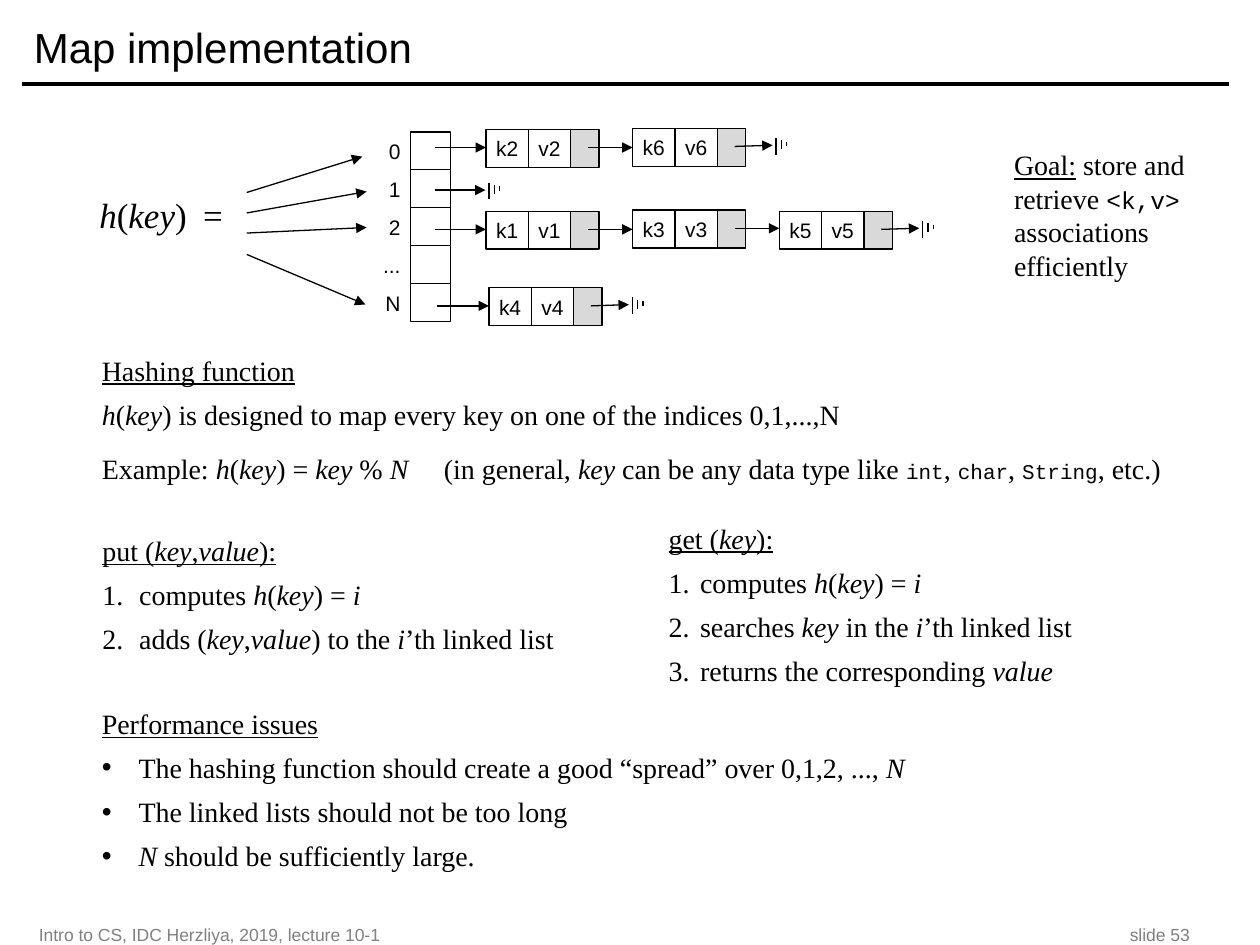
import pptx
import pptx.dml.color
import pptx.enum.shapes
import pptx.enum.text
import pptx.oxml.ns
import pptx.util
import lxml.etree
from dataclasses import dataclass

Pt = pptx.util.Pt
Align = pptx.enum.text.PP_ALIGN
Anchor = pptx.enum.text.MSO_ANCHOR
Connector = pptx.enum.shapes.MSO_CONNECTOR.STRAIGHT
Rectangle = pptx.enum.shapes.MSO_SHAPE.RECTANGLE
qn = pptx.oxml.ns.qn


@dataclass(frozen=True)
class Theme:
    ink = pptx.dml.color.RGBColor(0, 0, 0)
    muted = pptx.dml.color.RGBColor(128, 128, 128)
    pointer = pptx.dml.color.RGBColor(217, 217, 217)
    sans = "Arial"
    serif = "Times New Roman"
    mono = "Courier New"
    title = 24
    formula = 20
    body = 16
    goal_code = 14
    code = 12
    label = 12
    footer = 10
    hairline = 0.75
    rule = 2


theme = Theme()
deck = pptx.Presentation()
deck.slide_width, deck.slide_height = Pt(720), Pt(540)
page = deck.slides.add_slide(deck.slide_layouts[6])


def draw_line(x1, y1, x2, y2, width=theme.hairline, arrow=False):
    line = page.shapes.add_connector(Connector, Pt(x1), Pt(y1), Pt(x2), Pt(y2))
    line.line.color.rgb = theme.ink
    line.line.width = Pt(width)
    properties = line._element.spPr
    lxml.etree.SubElement(properties, qn("a:effectLst"))
    if arrow:
        outline = properties.find(qn("a:ln"))
        lxml.etree.SubElement(outline, qn("a:tailEnd"), type="triangle")


def write(box, lines, font=theme.serif, size=theme.body, color=theme.ink, align=Align.LEFT,
          anchor=Anchor.TOP, inset=7.2, code=theme.code, marker=None, hang=0, tab=0, before=(6, 6, 12)):
    frame = box.text_frame
    frame.word_wrap = True
    frame.vertical_anchor = anchor
    frame.margin_left = frame.margin_right = Pt(inset)
    frame.margin_top = frame.margin_bottom = Pt(3.6)
    for number, line in enumerate(lines):
        para = frame.paragraphs[0] if number == 0 else frame.add_paragraph()
        para.alignment = align
        if number:
            para.space_before = Pt(before[min(number, 2)])
        settings = para._p.get_or_add_pPr()
        if number and marker:
            settings.set("marL", str(Pt(hang)))
            settings.set("indent", str(-Pt(hang)))
            if marker == "number":
                lxml.etree.SubElement(settings, qn("a:buAutoNum"), type="arabicPeriod")
            else:
                lxml.etree.SubElement(settings, qn("a:buFont"), typeface=theme.sans)
                lxml.etree.SubElement(settings, qn("a:buChar"), char=marker)
        if "\t" in line:
            stops = lxml.etree.SubElement(settings, qn("a:tabLst"))
            lxml.etree.SubElement(stops, qn("a:tab"), pos=str(Pt(tab)), algn="l")
        para.font.name, para.font.size = font, Pt(size)
        para.font.color.rgb = color
        active, text = set(), ""
        for letter in line + "|":
            if letter not in "*_`|":
                text += letter
                continue
            if text:
                span = para.add_run()
                span.text, text = text, ""
                if "*" in active:
                    span.font.italic = True
                if "_" in active:
                    span.font.underline = True
                if "`" in active:
                    span.font.name, span.font.size = theme.mono, Pt(code)
            active ^= {letter}


draw_line(12.5, 48, 702, 48, theme.rule)
texts = [
    ((12.24, 5.8, 690, 41.8), ["Map implementation"],
     dict(font=theme.sans, size=theme.title, anchor=Anchor.MIDDLE)),
    ((15.1, 526.3, 400, 16), ["Intro to CS, IDC Herzliya, 2019, lecture 10-1"],
     dict(font=theme.sans, size=theme.footer, color=theme.muted, anchor=Anchor.MIDDLE)),
    ((587, 526.3, 100, 16), ["slide 53"],
     dict(font=theme.sans, size=theme.footer, color=theme.muted, anchor=Anchor.MIDDLE, align=Align.RIGHT)),
    ((49.7, 107.3, 100, 32), ["*h*(*key*)"], dict(size=theme.formula)),
    ((109, 107.3, 30, 32), ["="], dict(size=theme.formula)),
    ((572.4, 80.8, 150, 84), ["_Goal:_ store and retrieve `<k,v>` associations efficiently"],
     dict(code=theme.goal_code)),
    ((51.1, 198.2, 640, 84),
     ["_Hashing function_",
      "*h*(*key*) is designed to map every key on one of the indices 0,1,...,N",
      "Example: *h*(*key*) = *key* % *N*\t(in general, *key* can be any data type like "
      "`int`, `char`, `String`, etc.)"], dict(tab=195.5)),
    ((51.5, 301.3, 296, 99),
     ["_put (*key*,*value*):_", "computes *h*(*key*) = *i*",
      "adds (*key*,*value*) to the *i*’th linked list"],
     dict(marker="number", hang=21, before=(6, 6, 6))),
    ((375, 294.2, 292, 132),
     ["_get (*key*):_", "computes *h*(*key*) = *i*",
      "searches *key* in the *i*’th linked list", "returns the corresponding *value*"],
     dict(marker="number", hang=18, before=(6, 6, 6))),
    ((51.1, 400.2, 629, 110),
     ["_Performance issues_",
      "The hashing function should create a good “spread” over 0,1,2, ..., *N*",
      "The linked lists should not be too long", "*N* should be sufficiently large."],
     dict(marker="•", hang=21, before=(6, 6, 6))),
]
for bounds, lines, style in texts:
    write(page.shapes.add_textbox(*map(Pt, bounds)), lines, **style)

for start_y, end_x, end_y in [(110, 207, 89.5), (121.7, 209.5, 109.5), (133.2, 209.5, 130), (145.4, 208.8, 174)]:
    draw_line(141, start_y, end_x, end_y, arrow=True)

cell_height = 21.7
rectangles = []
for index, label in enumerate(["0", "1", "2", "...", "N"]):
    top = 75.4 + index * cell_height
    rectangles.append((234.7, top, 22.9, None, ""))
    box = page.shapes.add_textbox(Pt(198.7), Pt(top), Pt(36), Pt(cell_height))
    write(box, [label], font=theme.sans, size=theme.label, align=Align.RIGHT,
          anchor=Anchor.MIDDLE, inset=5.8)

arrows = [(248.4, 108.6, 277.4, 108.6)]
grounds = [(279.4, 108.6)]
node_step, key_width, pointer_width = 83.8, 24.2, 16.2
for left, top, chain in [(277.7, 73.9, "26"), (277.7, 120.7, "135"), (279.4, 164.4, "4")]:
    middle = top + 10.4
    arrows.append((left - 29.4, middle, left, middle))
    for position, digit in enumerate(chain):
        x = left + position * node_step
        y = top - position % 2 * 0.6
        rectangles += [(x, y, key_width, None, "k" + digit),
                       (x + key_width, y, key_width, None, "v" + digit),
                       (x + 2 * key_width, y, pointer_width, theme.pointer, "")]
        link_y = y + 10.4
        if position < len(chain) - 1:
            arrows.append((x + 58.3, link_y, x + node_step, link_y))
        else:
            arrows.append((x + 58.3, link_y, x + 80, link_y - 0.7))
            grounds.append((x + 82, link_y - 0.5))

for x, y, width, fill, label in rectangles:
    box = page.shapes.add_shape(Rectangle, Pt(x), Pt(y), Pt(width), Pt(cell_height))
    box.shadow.inherit = False
    box.line.color.rgb = theme.ink
    box.line.width = Pt(theme.hairline)
    if fill is None:
        box.fill.background()
    else:
        box.fill.solid()
        box.fill.fore_color.rgb = fill
    if label:
        write(box, [label], font=theme.sans, size=theme.label, align=Align.CENTER,
              anchor=Anchor.MIDDLE, inset=0)

for arrow in arrows:
    draw_line(*arrow, arrow=True)
for x, y in grounds:
    for bar, (above, below) in enumerate([(4.3, 5.2), (3, 2), (2.2, 0.5)]):
        draw_line(x + bar * 3, y - above, x + bar * 3, y + below)

deck.save("out.pptx")
